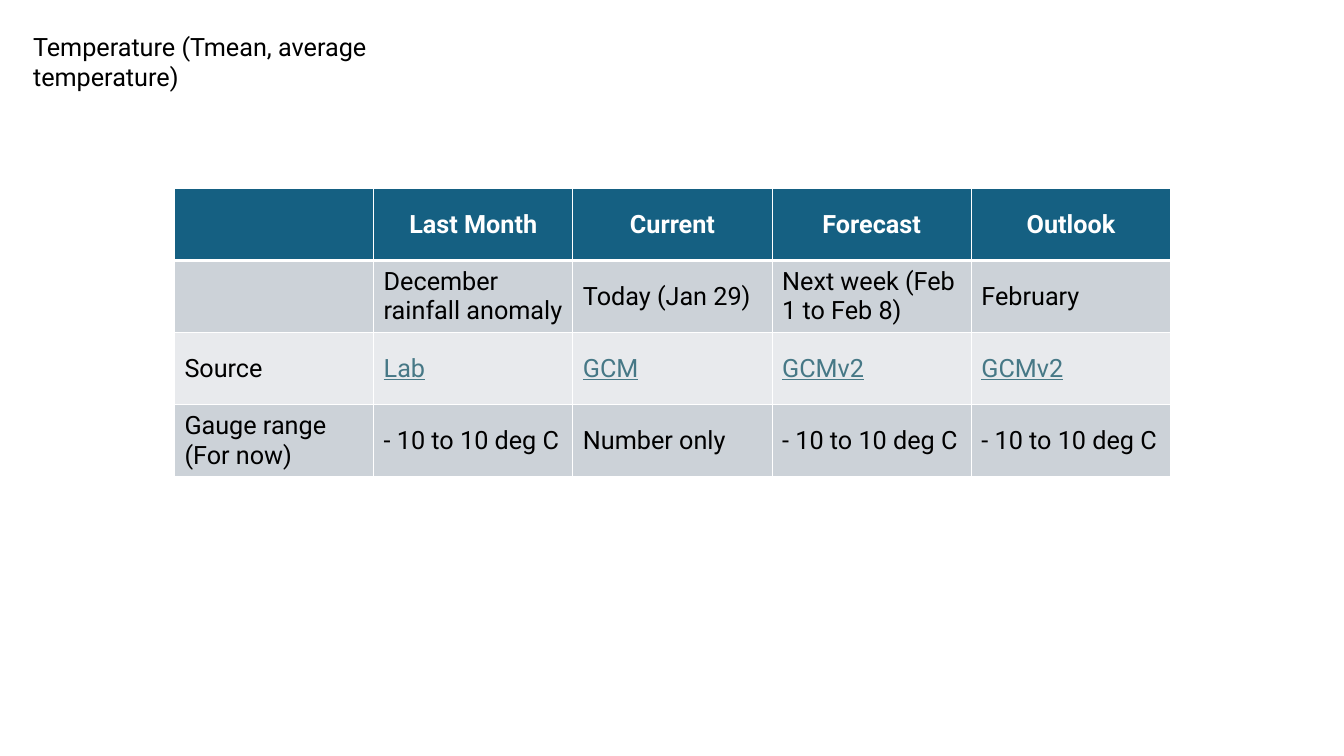
"""Build a slide that lists temperature gauge sources and ranges."""
from lxml import etree
from pptx import Presentation
from pptx.dml.color import RGBColor
from pptx.enum.text import MSO_ANCHOR, PP_ALIGN
from pptx.oxml.ns import qn
from pptx.util import Inches, Pt

MIDDLE = MSO_ANCHOR.MIDDLE
CENTER, LEFT = PP_ALIGN.CENTER, PP_ALIGN.LEFT
FONT = "Roboto"
WHITE, BLACK, HEADER_BLUE, LINK_TEAL = "FFFFFF", "000000", "156082", "467886"
DARK_BAND, LIGHT_BAND = "CCD2D8", "E8EAED"
HEADER_ROW, SOURCE_ROW = 0, 2

GAUGES = [
    ["", "Last Month", "Current", "Forecast", "Outlook"],
    ["", "December rainfall anomaly", "Today (Jan 29)",
     "Next week (Feb 1 to Feb 8)", "February"],
    ["Source", "Lab", "GCM", "GCMv2", "GCMv2"],
    ["Gauge range (For now)", "- 10 to 10 deg C", "Number only",
     "- 10 to 10 deg C", "- 10 to 10 deg C"],
]


def color(hex_value):
    return RGBColor.from_string(hex_value)


def write(frame, text, hex_value, bold=False, underline=False, align=LEFT):
    frame.text = text
    paragraph = frame.paragraphs[0]
    paragraph.alignment = align
    font = paragraph.font
    font.name, font.size = FONT, Pt(18)
    font.bold, font.underline = bold, underline
    font.color.rgb = color(hex_value)


def add_borders(cell, top, bottom):
    properties = cell._tc.get_or_add_tcPr()
    for side, width in (("L", 1), ("R", 1), ("T", top), ("B", bottom)):
        line = etree.SubElement(properties, qn(f"a:ln{side}"), w=str(Pt(width)))
        fill = etree.SubElement(line, qn("a:solidFill"))
        etree.SubElement(fill, qn("a:srgbClr"), val=WHITE)


def style_cell(cell, text, row, column):
    is_header = row == HEADER_ROW
    is_source = row == SOURCE_ROW and column > 0
    add_borders(cell, top=3 if row == 1 else 1, bottom=3 if is_header else 1)
    band = DARK_BAND if row % 2 else LIGHT_BAND
    cell.fill.solid()
    cell.fill.fore_color.rgb = color(HEADER_BLUE if is_header else band)
    cell.vertical_anchor = MIDDLE
    ink = WHITE if is_header else LINK_TEAL if is_source else BLACK
    write(cell.text_frame, text, ink, bold=is_header, underline=is_source,
          align=CENTER if is_header else LEFT)


def add_title(slide, text):
    title = slide.shapes.add_textbox(
        Inches(0.23), Inches(0.26), Inches(4.87), Inches(0.4))
    title.text_frame.word_wrap = True
    write(title.text_frame, text, BLACK)


def add_gauge_table(slide):
    table = slide.shapes.add_table(
        len(GAUGES), len(GAUGES[0]),
        Inches(1.73), Inches(1.87), Inches(9.88), Inches(2.86)).table
    table.first_row = table.horz_banding = False
    for row, texts in enumerate(GAUGES):
        for column, text in enumerate(texts):
            style_cell(table.cell(row, column), text, row, column)


def main():
    deck = Presentation()
    deck.slide_width, deck.slide_height = Inches(13.33), Inches(7.5)
    slide = deck.slides.add_slide(deck.slide_layouts[6])
    add_title(slide, "Temperature (Tmean, average temperature)")
    add_gauge_table(slide)
    deck.save("out.pptx")


if __name__ == "__main__":
    main()
